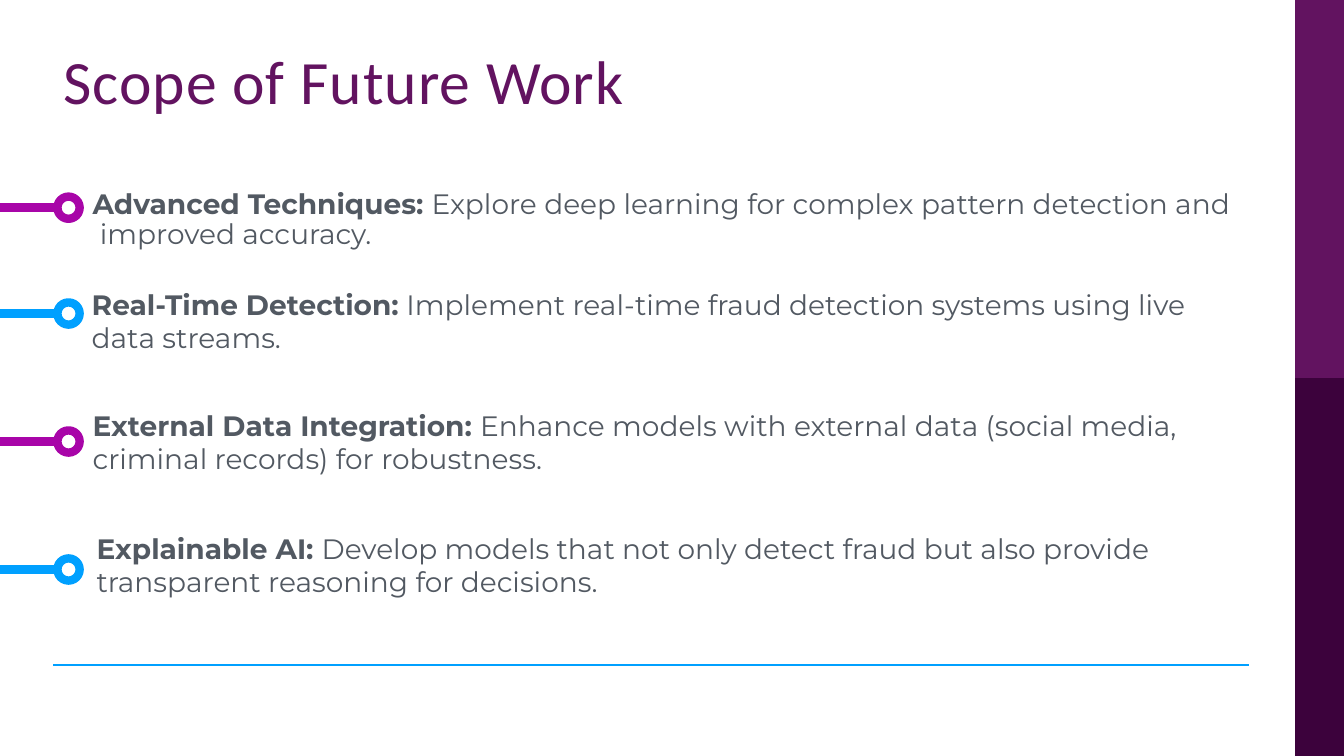
from lxml.etree import SubElement
from pptx import Presentation
from pptx.dml.color import RGBColor
from pptx.enum.shapes import MSO_CONNECTOR, MSO_SHAPE
from pptx.enum.text import MSO_ANCHOR, MSO_AUTO_SIZE, PP_ALIGN
from pptx.oxml.ns import qn
from pptx.util import Inches, Pt

WHITE = RGBColor(0xFF, 0xFF, 0xFF)
PLUM = RGBColor(0x62, 0x13, 0x60)
DARK_PLUM = RGBColor(0x3C, 0x02, 0x3C)
MAGENTA = RGBColor(0xA8, 0x05, 0xA8)
BLUE = RGBColor(0x00, 0xA0, 0xFF)
GREY = RGBColor(0x52, 0x59, 0x62)

# Marker height, text box (left, top, width), line spacing, heading, lines
ITEMS = [
    (27.47, (6.15, 24.53, 86.48), 0.9, "Advanced Techniques: ",
     ["Explore deep learning for complex pattern detection and",
      " improved accuracy."]),
    (41.47, (6.08, 37.33, 86.18), 1.0, "Real-Time Detection:",
     [" Implement real-time fraud detection systems using live data streams."]),
    (58.4, (6.15, 53.33, 87.75), 1.0, "External Data Integration: ",
     ["Enhance models with external data (social media, criminal records) "
      "for robustness."]),
    (75.33, (6.45, 69.6, 84.38), 1.0, "Explainable AI: ",
     ["Develop models that not only detect fraud but also provide "
      "transparent reasoning for decisions."]),
]


class SlideBuilder:
    """Draws on one slide; lengths are percentages of its width and height."""

    title_font, body_font = "Calibri", "Montserrat"
    title_size, body_size = Pt(44), Pt(20)
    marker_x, marker_size, marker_line = 5.1, Inches(0.22), 6

    def __init__(self, prs):
        self.width, self.height = prs.slide_width, prs.slide_height
        self.slide = prs.slides.add_slide(prs.slide_layouts[5])
        self.shapes = self.slide.shapes

    def x(self, share):
        return round(self.width * share / 100)

    def y(self, share):
        return round(self.height * share / 100)

    def box(self, left, top, width, height):
        return self.x(left), self.y(top), self.x(width), self.y(height)

    def title(self, text, left, top, width, height):
        sp = self.shapes.title
        sp.left, sp.top, sp.width, sp.height = self.box(left, top, width, height)
        tf = sp.text_frame
        tf.vertical_anchor = MSO_ANCHOR.TOP
        tf.auto_size = MSO_AUTO_SIZE.NONE
        p = tf.paragraphs[0]
        p.alignment = PP_ALIGN.LEFT
        p.line_spacing = Pt(36)
        r = self.run(p, text, self.title_font, self.title_size, PLUM)
        r.font._element.set("spc", "70")

    def run(self, p, text, font, size, color, bold=False):
        r = p.add_run()
        r.text = text
        r.font.name, r.font.size, r.font.bold = font, size, bold
        r.font.color.rgb = color
        return r

    def shape(self, kind, bounds, fill, line=None, weight=0):
        sp = self.shapes.add_shape(kind, *bounds)
        sp.shadow.inherit = False
        sp.fill.solid()
        sp.fill.fore_color.rgb = fill
        if line is None:
            sp.line.fill.background()
        else:
            sp.line.color.rgb = line
            sp.line.width = Pt(weight)

    def rule(self, left, right, y, color, weight):
        line = self.shapes.add_connector(
            MSO_CONNECTOR.STRAIGHT, self.x(left), self.y(y), self.x(right), self.y(y))
        line.line.color.rgb = color
        line.line.width = Pt(weight)
        SubElement(line._element.spPr, qn("a:effectLst"))

    def marker(self, y, color):
        """A stem from the slide's left edge that ends in a ring."""
        self.rule(0, self.marker_x, y, color, self.marker_line)
        size = self.marker_size
        bounds = (self.x(self.marker_x) - size // 2, self.y(y) - size // 2, size, size)
        self.shape(MSO_SHAPE.FLOWCHART_CONNECTOR, bounds, WHITE, color, self.marker_line)

    def point(self, left, top, width, spacing, heading, lines):
        tf = self.shapes.add_textbox(*self.box(left, top, width, 10.27)).text_frame
        tf.word_wrap = True
        p = tf.paragraphs[0]
        p.line_spacing = spacing
        self.run(p, heading, self.body_font, self.body_size, GREY, bold=True)
        for i, text in enumerate(lines):
            if i:
                p.add_line_break()
            self.run(p, text, self.body_font, self.body_size, GREY)


def main():
    prs = Presentation()
    prs.slide_width, prs.slide_height = Inches(13.33), Inches(7.5)
    s = SlideBuilder(prs)
    for top, color in ((50, DARK_PLUM), (0, PLUM)):
        s.shape(MSO_SHAPE.RECTANGLE, s.box(96.36, top, 3.64, 50), color)
    s.rule(3.98, 92.93, 88, BLUE, 1.5)
    s.title("Scope of Future Work", 3.98, 8.13, 88.73, 13.33)
    for i, (y, place, spacing, heading, lines) in enumerate(ITEMS):
        s.marker(y, (MAGENTA, BLUE)[i % 2])
        s.point(*place, spacing, heading, lines)
    prs.save("out.pptx")


if __name__ == "__main__":
    main()
